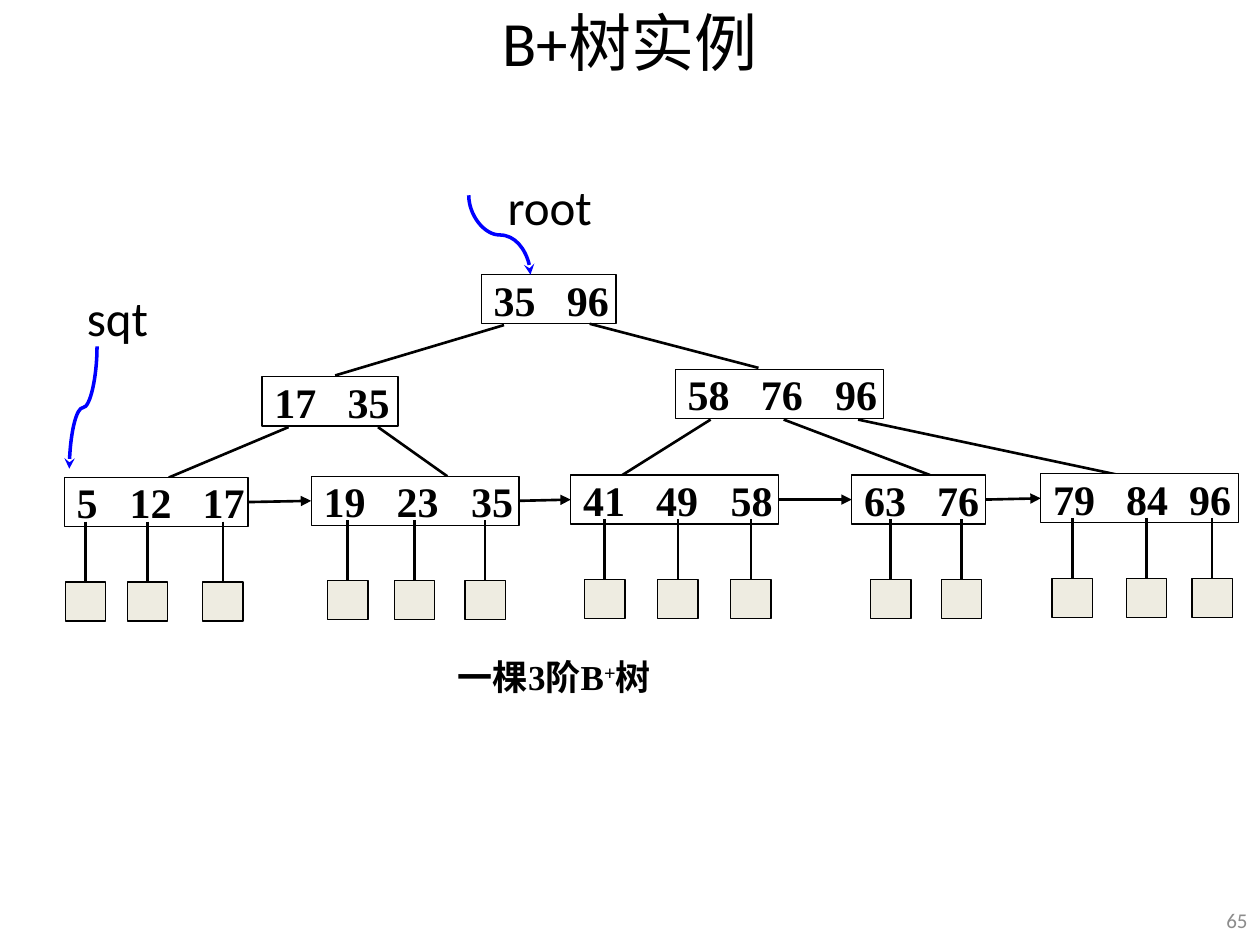
from lxml import etree
from pptx import Presentation
from pptx import util as u
from pptx.dml.color import RGBColor
from pptx.enum import shapes, text
from pptx.oxml.ns import qn

BLACK, BLUE, GREY, CREAM, WHITE = "000000", "0000FF", "8C8C8C", "EEECE1", "FFFFFF"
NODE_HEIGHT = 0.39
SQUARE = (0.32, 0.31)
KEY_STOPS = (0.58, 1.17)
NODE_FONT = {"name": "Times New Roman", "size": u.Pt(24), "bold": True}
CAPTION_FONT = {"name": "Times New Roman", "size": u.Pt(20), "bold": True}
TITLE_FONT = {"name": "Calibri", "size": u.Pt(36)}
LABEL_FONT = {"name": "Calibri", "size": u.Pt(28)}
NUMBER_FONT = {"name": "Calibri", "size": u.Pt(12)}

# All positions in the tree are relative to its box
# Inner nodes: left, top, width, keys
INNER_NODES = [
    (3.32, 0, 1.07, "35 96"),
    (1.58, 0.81, 1.08, "17 35"),
    (4.86, 0.75, 1.65, "58 76 96"),
]
# Leaves: left, top, width, keys, tab stops, centres of the record squares
LEAVES = [
    (0.01, 1.61, 1.46, "5 12 17", (0.42, 1), (0.18, 0.67, 1.27)),
    (1.97, 1.6, 1.65, "19 23 35", KEY_STOPS, (2.26, 2.79, 3.35)),
    (4.03, 1.59, 1.65, "41 49 58", KEY_STOPS, (4.3, 4.88, 5.46)),
    (6.26, 1.59, 1.06, "63 76", KEY_STOPS, (6.57, 7.13)),
    (7.76, 1.58, 1.57, "79 84 96", (0.58, 1.08), (8.01, 8.6, 9.12)),
]
# Branches: start x, start y, end x, end y
BRANCHES = [
    (3.5, 0.4, 2.16, 0.8),
    (4.18, 0.39, 5.52, 0.74),
    (1.79, 1.21, 0.84, 1.61),
    (2.5, 1.21, 3.05, 1.6),
    (5.14, 1.15, 4.44, 1.59),
    (5.72, 1.15, 6.88, 1.59),
    (6.31, 1.15, 8.38, 1.59),
]


def color(hex_value):
    return RGBColor.from_string(hex_value)


def lengths(*values):
    return [u.Inches(value) for value in values]


def format_font(font, values, hex_value=BLACK):
    for name, value in values.items():
        setattr(font, name, value)
    font.color.rgb = color(hex_value)


def add_text(slide, box, words, font, hex_value=BLACK, align=text.PP_ALIGN.LEFT,
             anchor=text.MSO_ANCHOR.TOP):
    """Add a one-line text box with one run for each of the words."""
    frame = slide.shapes.add_textbox(*lengths(*box)).text_frame
    frame.word_wrap = False
    frame.vertical_anchor = anchor
    paragraph = frame.paragraphs[0]
    paragraph.alignment = align
    for part in words:
        run = paragraph.add_run()
        run.text = part
        format_font(run.font, font, hex_value)
    return paragraph


def add_rectangle(slide, box, fill):
    shape = slide.shapes.add_shape(shapes.MSO_SHAPE.RECTANGLE, *lengths(*box))
    shape.shadow.inherit = False
    shape.fill.solid()
    shape.fill.fore_color.rgb = color(fill)
    shape.line.color.rgb = color(BLACK)
    shape.line.width = u.Pt(0.75)
    return shape


def add_line(slide, ends, hex_value=BLACK, width=1.5, head=None,
             kind=shapes.MSO_CONNECTOR.STRAIGHT):
    connector = slide.shapes.add_connector(kind, *lengths(*ends))
    connector.line.color.rgb = color(hex_value)
    connector.line.width = u.Pt(width)
    if head:
        line = connector.line._get_or_add_ln()
        etree.SubElement(line, qn("a:tailEnd"), type=head)
    etree.SubElement(connector._element.spPr, qn("a:effectLst"))
    return connector


def add_node(slide, box, keys, stops=KEY_STOPS):
    """Add a tree node whose keys stand at tab stops."""
    shape = add_rectangle(slide, box, WHITE)
    frame = shape.text_frame
    frame.word_wrap = True
    frame.margin_right = 0
    frame.vertical_anchor = text.MSO_ANCHOR.MIDDLE
    paragraph = frame.paragraphs[0]
    paragraph.alignment = text.PP_ALIGN.LEFT
    tabs = etree.SubElement(paragraph._p.get_or_add_pPr(), qn("a:tabLst"))
    for stop in stops:
        etree.SubElement(tabs, qn("a:tab"), pos=str(u.Inches(stop)), algn="l")
    run = paragraph.add_run()
    run.text = "\t".join(keys.split())
    format_font(run.font, NODE_FONT)
    return shape


def add_records(slide, left, top, centres):
    """Hang a record square under each key of a leaf."""
    width, height = SQUARE
    for centre in centres:
        x = left + centre
        square = add_rectangle(slide, (x - width / 2, top + 0.83, width, height), CREAM)
        stem = add_line(slide, (x, top + 0.35, x, top + 0.83))
        stem.end_connect(square, 0)


def add_tree(slide, box):
    left, top, width, _ = box

    # Nodes and the branches between them
    for x, y, node_width, keys in INNER_NODES:
        add_node(slide, (left + x, top + y, node_width, NODE_HEIGHT), keys)
    for x1, y1, x2, y2 in BRANCHES:
        add_line(slide, (left + x1, top + y1, left + x2, top + y2))

    # Leaves with their records
    leaves = []
    for x, y, node_width, keys, stops, centres in LEAVES:
        leaf_box = (left + x, top + y, node_width, NODE_HEIGHT)
        leaves.append(add_node(slide, leaf_box, keys, stops))
        add_records(slide, left, top + y, centres)

    # Chain of leaves
    for leaf, following in zip(leaves, leaves[1:]):
        link = add_line(slide, (0, 0, 1, 1), head="triangle")
        link.begin_connect(leaf, 3)
        link.end_connect(following, 1)

    # Caption
    caption = add_text(slide, (left + 2.41, top + 2.99, 2.98, NODE_HEIGHT),
                       ["一棵3阶B", "+", "树"], CAPTION_FONT,
                       align=text.PP_ALIGN.CENTER, anchor=text.MSO_ANCHOR.MIDDLE)
    caption.runs[1]._r.get_or_add_rPr().set("baseline", "26000")


def add_entry(slide, box, name, start, end):
    """Add a named entry pointer: a label and a curve that runs downwards."""
    left, top, _, _ = box
    add_text(slide, box, [name], LABEL_FONT)
    (x1, y1), (x2, y2) = start, end
    centre_x, centre_y = left + (x1 + x2) / 2, top + (y1 + y2) / 2
    half_length, half_span = (y2 - y1) / 2, abs(x2 - x1) / 2
    curve = add_line(slide, (centre_x - half_length, centre_y - half_span,
                             centre_x + half_length, centre_y + half_span),
                     BLUE, 2, "stealth", shapes.MSO_CONNECTOR.CURVE)
    frame = curve._element.spPr.find(qn("a:xfrm"))
    if x2 > x1:
        frame.set("rot", str(270 * 60000))
        frame.set("flipH", "1")
    else:
        frame.set("rot", str(90 * 60000))


def add_title(slide, box):
    title = slide.shapes.title
    title.left, title.top, title.width, title.height = lengths(*box)
    frame = title.text_frame
    frame.text = "B+树实例"
    frame.vertical_anchor = text.MSO_ANCHOR.MIDDLE
    frame.paragraphs[0].alignment = text.PP_ALIGN.CENTER
    format_font(frame.paragraphs[0].runs[0].font, TITLE_FONT)


def main():
    presentation = Presentation()
    presentation.slide_width, presentation.slide_height = lengths(10, 7.5)
    slide = presentation.slides.add_slide(presentation.slide_layouts[5])

    add_title(slide, (0.5, -0.03, 9, 0.71))
    add_tree(slide, (0.5, 2.18, 9.33, 3.38))
    add_entry(slide, (3.93, 1.35, 0.88, 0.57), "root", (-0.21, 0.2), (0.28, 0.83))
    add_entry(slide, (0.59, 2.23, 0.69, 0.57), "sqt", (0.18, 0.52), (-0.04, 1.49))

    # Slide number
    add_text(slide, (9.57, 7.1, 0.43, 0.4), ["65"], NUMBER_FONT, GREY,
             text.PP_ALIGN.RIGHT, text.MSO_ANCHOR.MIDDLE)
    presentation.save("out.pptx")


if __name__ == "__main__":
    main()
